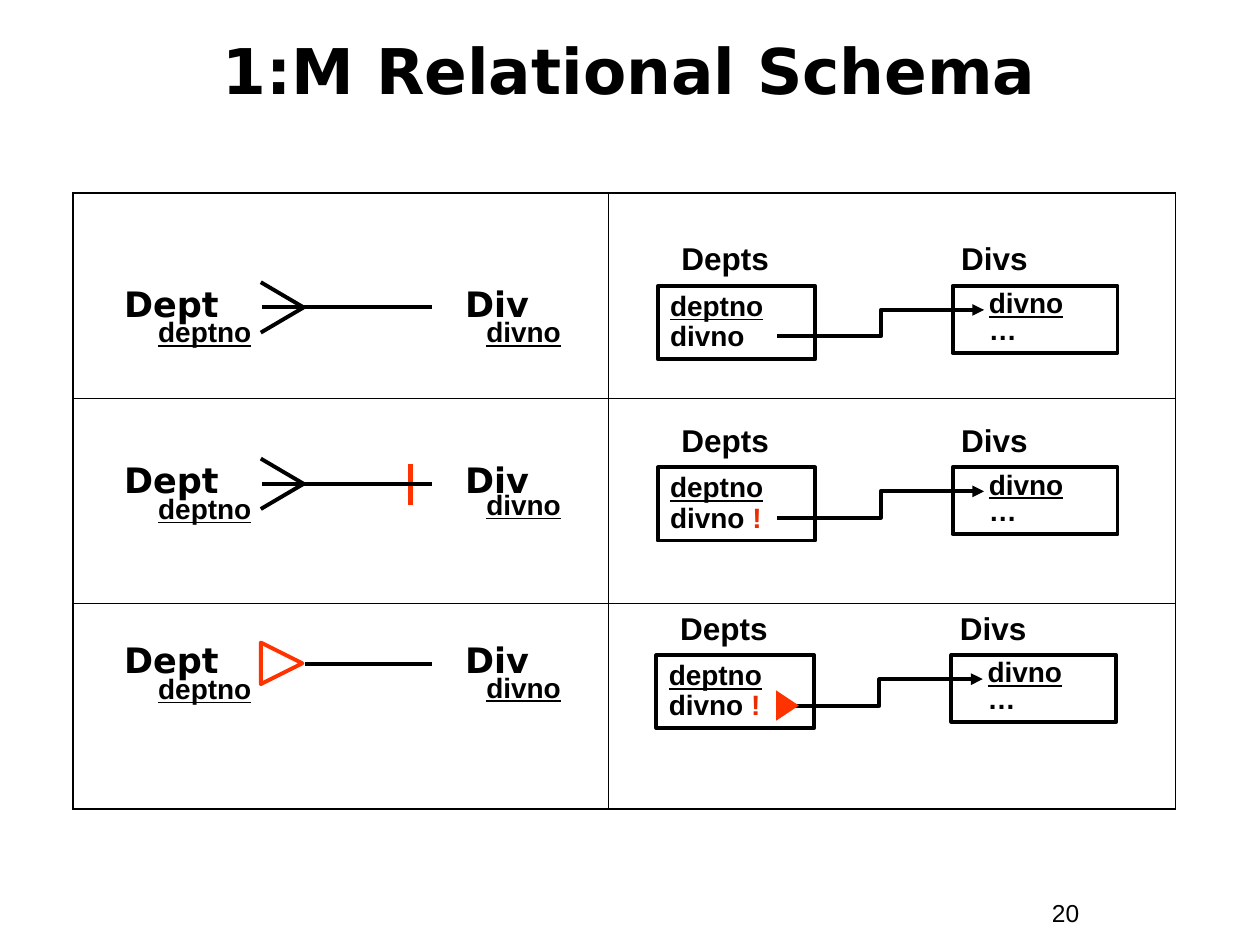
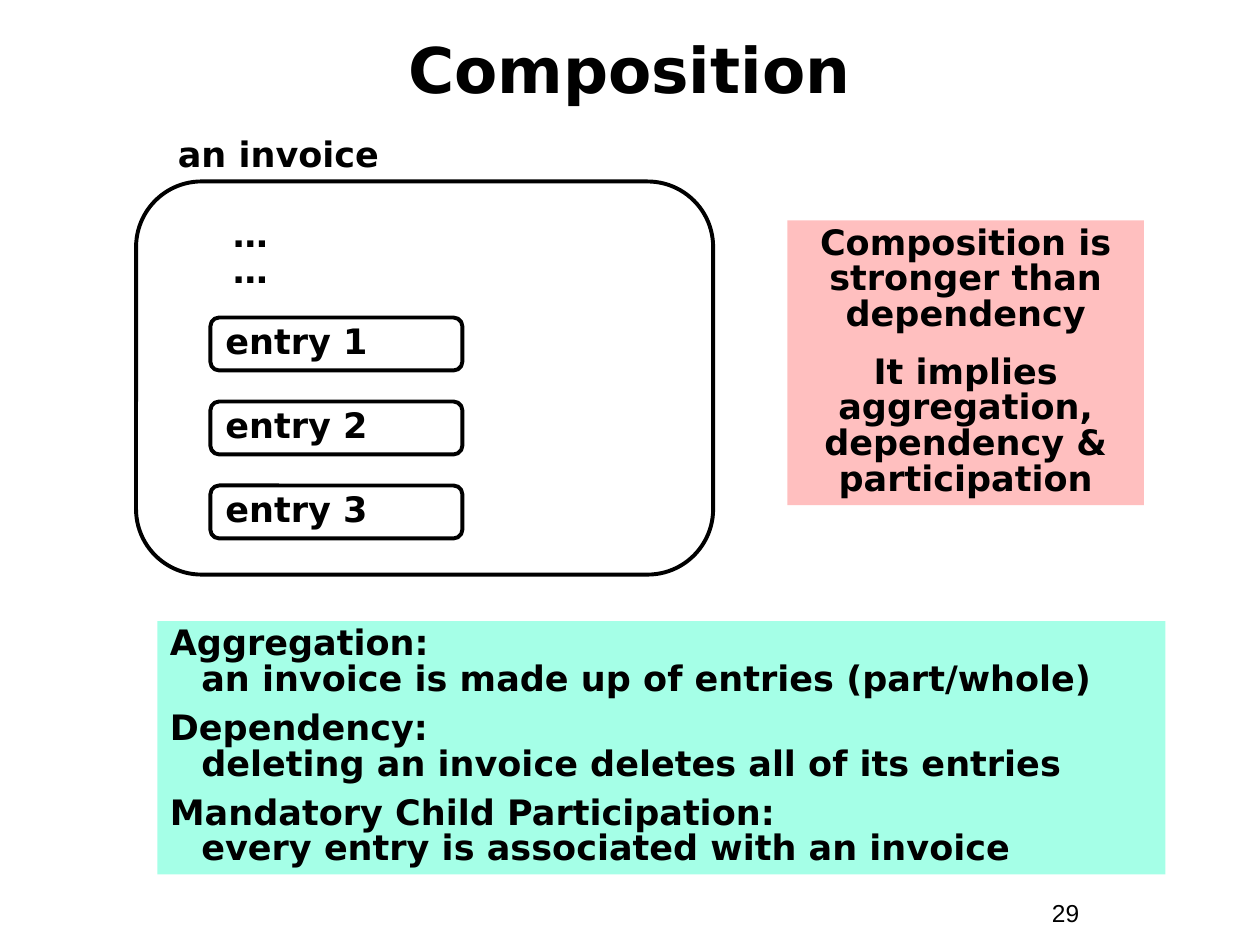
from dataclasses import dataclass, replace
from typing import Optional, Sequence

from lxml.etree import SubElement
from pptx import Presentation
from pptx.dml.color import RGBColor
from pptx.enum.shapes import MSO_CONNECTOR as Link, MSO_SHAPE as Preset
from pptx.enum.text import MSO_ANCHOR as Anchor, PP_ALIGN as Align
from pptx.oxml import parse_xml
from pptx.oxml.ns import nsdecls, qn
from pptx.shapes.autoshape import Shape
from pptx.shapes.connector import Connector
from pptx.slide import Slide
from pptx.util import Inches, Pt


@dataclass(frozen=True)
class Theme:
    ink: RGBColor = RGBColor(0x00, 0x00, 0x00)
    accent: RGBColor = RGBColor(0xFF, 0x33, 0x00)
    required: RGBColor = RGBColor(0xEA, 0x2D, 0x00)
    pink: RGBColor = RGBColor(0xFF, 0xBF, 0xBF)
    mint: RGBColor = RGBColor(0xA5, 0xFF, 0xE7)
    display: str = "DejaVu Sans"
    body: str = "Arial"
    title_size: float = 36
    text_size: float = 20
    table_name_size: float = 18
    column_size: float = 16
    number_size: float = 14
    stroke: float = 2.25
    bar_stroke: float = 3
    outer_border: float = 1.08
    inner_border: float = 0.45


THEME = Theme()


@dataclass(frozen=True)
class Box:
    left: float
    top: float
    width: float
    height: float

    def emu(self) -> tuple[int, int, int, int]:
        return (Inches(self.left), Inches(self.top),
                Inches(self.width), Inches(self.height))


@dataclass(frozen=True)
class TextStyle:
    size: float
    font: str = THEME.display
    bold: bool = True
    underline: bool = False
    spacing: float = 0.85
    gap: float = 0
    align: Align = Align.LEFT
    margin: float = 0
    indent: float = 0


@dataclass(frozen=True)
class Line:
    text: str
    style: TextStyle
    mark: str = ""


@dataclass(frozen=True)
class Relationship:
    line_y: float
    divno_drop: float
    schema_left: float
    schema_top: float
    required: bool = False
    bar: bool = False
    dependent: bool = False


TITLE = TextStyle(THEME.title_size, spacing=1, align=Align.CENTER)
NUMBER = TextStyle(THEME.number_size, THEME.body, bold=False, spacing=1)
LABEL = TextStyle(THEME.text_size)
ENTITY = replace(LABEL, align=Align.CENTER)
KEY = TextStyle(THEME.column_size, THEME.body, underline=True, align=Align.CENTER)
TABLE_NAME = TextStyle(THEME.table_name_size, THEME.body, spacing=0.8)
COLUMN = TextStyle(THEME.column_size, THEME.body, spacing=0.9)
DIV_COLUMN = replace(COLUMN, spacing=0.8, margin=0.19)
REMARK = replace(ENTITY, gap=12.5)
DEFINITION = replace(LABEL, gap=7.5, margin=0.25, indent=-0.25)

RELATIONSHIPS = (
    Relationship(2.44, 0.05, 5.22, 1.91),
    Relationship(3.84, 0.02, 5.22, 3.35, required=True, bar=True),
    Relationship(5.27, 0.04, 5.21, 4.84, required=True, dependent=True),
)
ENTRIES = ("entry 1", "entry 2", "entry 3")
REMARKS = (
    "Composition is stronger than dependency",
    "It implies\vaggregation, dependency & participation",
)
DEFINITIONS = (
    "Aggregation:\van invoice is made up of entries (part/whole)",
    "Dependency:\vdeleting an invoice deletes all of its entries",
    "Mandatory Child Participation:\vevery entry is associated with an invoice",
)


def write(shape: Shape, lines: Sequence[Line], anchor: Anchor = Anchor.TOP) -> None:
    frame = shape.text_frame
    frame.word_wrap = True
    frame.vertical_anchor = anchor
    for index, line in enumerate(lines):
        style = line.style
        paragraph = frame.add_paragraph() if index else frame.paragraphs[0]
        paragraph.text = line.text
        paragraph.alignment = style.align
        paragraph.line_spacing = style.spacing
        paragraph.space_before = Pt(style.gap if index else 0)
        if style.margin:
            properties = paragraph._p.get_or_add_pPr()
            properties.set("marL", str(Inches(style.margin)))
            properties.set("indent", str(Inches(style.indent)))
        font = paragraph.font
        font.name, font.size = style.font, Pt(style.size)
        font.bold, font.underline = style.bold, style.underline
        font.color.rgb = THEME.ink
        if line.mark:
            mark = paragraph.add_run()
            mark.text = line.mark
            mark.font.color.rgb = THEME.required


def add_text(slide: Slide, box: Box, text: str, style: TextStyle,
             anchor: Anchor = Anchor.TOP) -> None:
    write(slide.shapes.add_textbox(*box.emu()), [Line(text, style)], anchor)


def add_figure(slide: Slide, preset: Preset, box: Box,
               fill: Optional[RGBColor] = None, line: Optional[RGBColor] = None,
               rotation: float = 0) -> Shape:
    figure = slide.shapes.add_shape(preset, *box.emu())
    figure.shadow.inherit = False
    figure.rotation = rotation
    if fill is None:
        figure.fill.background()
    else:
        figure.fill.solid()
        figure.fill.fore_color.rgb = fill
    if line is None:
        figure.line.fill.background()
    else:
        figure.line.color.rgb = line
        figure.line.width = Pt(THEME.stroke)
    return figure


def add_line(slide: Slide, start: tuple[float, float], end: tuple[float, float],
             kind: Link = Link.STRAIGHT, color: RGBColor = THEME.ink,
             width: float = THEME.stroke) -> Connector:
    line = slide.shapes.add_connector(kind, *map(Inches, start + end))
    line.line.color.rgb = color
    line.line.width = Pt(width)
    SubElement(line._element.spPr, qn("a:effectLst"))
    return line


def add_page(deck: Presentation, title: str, title_top: float, number: str) -> Slide:
    slide = deck.slides.add_slide(deck.slide_layouts[6])
    add_text(slide, Box(8.25, 7.08, 0.92, 0.34), number, NUMBER)
    add_text(slide, Box(0.33, title_top, 9.33, 0.92), title, TITLE, Anchor.MIDDLE)
    return slide


def add_grid(slide: Slide, box: Box, widths: Sequence[float], rows: int) -> None:
    table = slide.shapes.add_table(rows, len(widths), *box.emu()).table
    table.first_row = table.horz_banding = False
    for column, width in zip(table.columns, widths):
        column.width = Inches(width)
    last_row, last_column = rows - 1, len(widths) - 1
    for row in range(rows):
        for column in range(len(widths)):
            cell = table.cell(row, column)
            cell.fill.background()
            outer_sides = {"lnL": column == 0, "lnR": column == last_column,
                           "lnT": row == 0, "lnB": row == last_row}
            for order, (side, outer) in enumerate(outer_sides.items()):
                width = Pt(THEME.outer_border if outer else THEME.inner_border)
                cell._tc.get_or_add_tcPr().insert(order, parse_xml(
                    f'<a:{side} {nsdecls("a")} w="{width}"><a:solidFill>'
                    f'<a:srgbClr val="{THEME.ink}"/></a:solidFill></a:{side}>'))


def add_entities(slide: Slide, relation: Relationship) -> None:
    y = relation.line_y
    if relation.dependent:
        add_figure(slide, Preset.FLOWCHART_EXTRACT, Box(2.07, y - 0.17, 0.33, 0.33),
                   line=THEME.accent, rotation=90)
    else:
        for spread in (-0.2, 0.2):
            add_line(slide, (2.41, y), (2.07, y + spread))
    if relation.bar:
        add_line(slide, (3.26, y - 0.16), (3.26, y + 0.17),
                 color=THEME.accent, width=THEME.bar_stroke)
    add_line(slide, (2.42 if relation.dependent else 2.08, y), (3.43, y))
    add_text(slide, Box(0.72, y - 0.2, 1.28, 0.39), "Dept", ENTITY)
    add_text(slide, Box(3.36, y - 0.2, 1.17, 0.39), "Div", ENTITY)
    add_text(slide, Box(1.04, y + 0.05, 1.17, 0.33), "deptno", KEY)
    add_text(slide, Box(3.57, y + relation.divno_drop, 1.17, 0.33), "divno", KEY)


def add_schema(slide: Slide, relation: Relationship) -> None:
    x, y = relation.schema_left, relation.schema_top
    add_text(slide, Box(x + 0.09, y, 1.17, 0.34), "Depts", TABLE_NAME)
    add_text(slide, Box(x + 2.31, y, 1.31, 0.34), "Divs", TABLE_NAME)
    depts = add_figure(slide, Preset.RECTANGLE, Box(x, y + 0.36, 1.25, 0.58),
                       line=THEME.ink)
    foreign_key = (Line("divno ", COLUMN, "!") if relation.required
                   else Line("divno", COLUMN))
    write(depts, [Line("deptno", replace(COLUMN, underline=True)), foreign_key])
    divs = add_figure(slide, Preset.RECTANGLE, Box(x + 2.34, y + 0.36, 1.31, 0.53),
                      line=THEME.ink)
    write(divs, [Line("divno", replace(DIV_COLUMN, underline=True)),
                 Line("…", DIV_COLUMN)])
    reference = add_line(slide, (x + 0.95, y + 0.76), (x + 2.59, y + 0.55), Link.ELBOW)
    SubElement(reference.line._get_or_add_ln(), qn("a:tailEnd"), type="triangle")
    if relation.dependent:
        add_figure(slide, Preset.ISOSCELES_TRIANGLE,
                   Box(x + 0.92, y + 0.67, 0.24, 0.18), fill=THEME.accent, rotation=90)


def build_relational_schema(deck: Presentation) -> None:
    slide = add_page(deck, "1:M Relational Schema", 0.09, "20")
    for relation in RELATIONSHIPS:
        add_entities(slide, relation)
        add_schema(slide, relation)
    add_grid(slide, Box(0.58, 1.53, 8.75, 4.89), (4.25, 4.5), len(RELATIONSHIPS))


def build_composition(deck: Presentation) -> None:
    slide = add_page(deck, "Composition", 0.08, "29")
    add_figure(slide, Preset.ROUNDED_RECTANGLE, Box(1.08, 1.44, 4.58, 3.12),
               line=THEME.ink)
    add_text(slide, Box(0.92, 1.05, 2.58, 0.39), "an invoice", ENTITY)
    add_text(slide, Box(1.75, 1.69, 2.08, 0.67), "…\v…", LABEL)
    for index, name in enumerate(ENTRIES):
        entry = add_figure(slide, Preset.ROUNDED_RECTANGLE,
                           Box(1.67, 2.52 + index * 2 / 3, 2, 0.42), line=THEME.ink)
        write(entry, [Line(name, LABEL)], Anchor.MIDDLE)
    remarks = add_figure(slide, Preset.RECTANGLE, Box(6.25, 1.75, 2.83, 2.26),
                         fill=THEME.pink)
    write(remarks, [Line(text, REMARK) for text in REMARKS])
    definitions = add_figure(slide, Preset.RECTANGLE, Box(1.25, 4.93, 8, 2.01),
                             fill=THEME.mint)
    write(definitions, [Line(text, DEFINITION) for text in DEFINITIONS])


def main() -> None:
    deck = Presentation()
    deck.slide_width, deck.slide_height = Inches(10), Inches(7.5)
    build_relational_schema(deck)
    build_composition(deck)
    deck.save("out.pptx")


if __name__ == "__main__":
    main()
